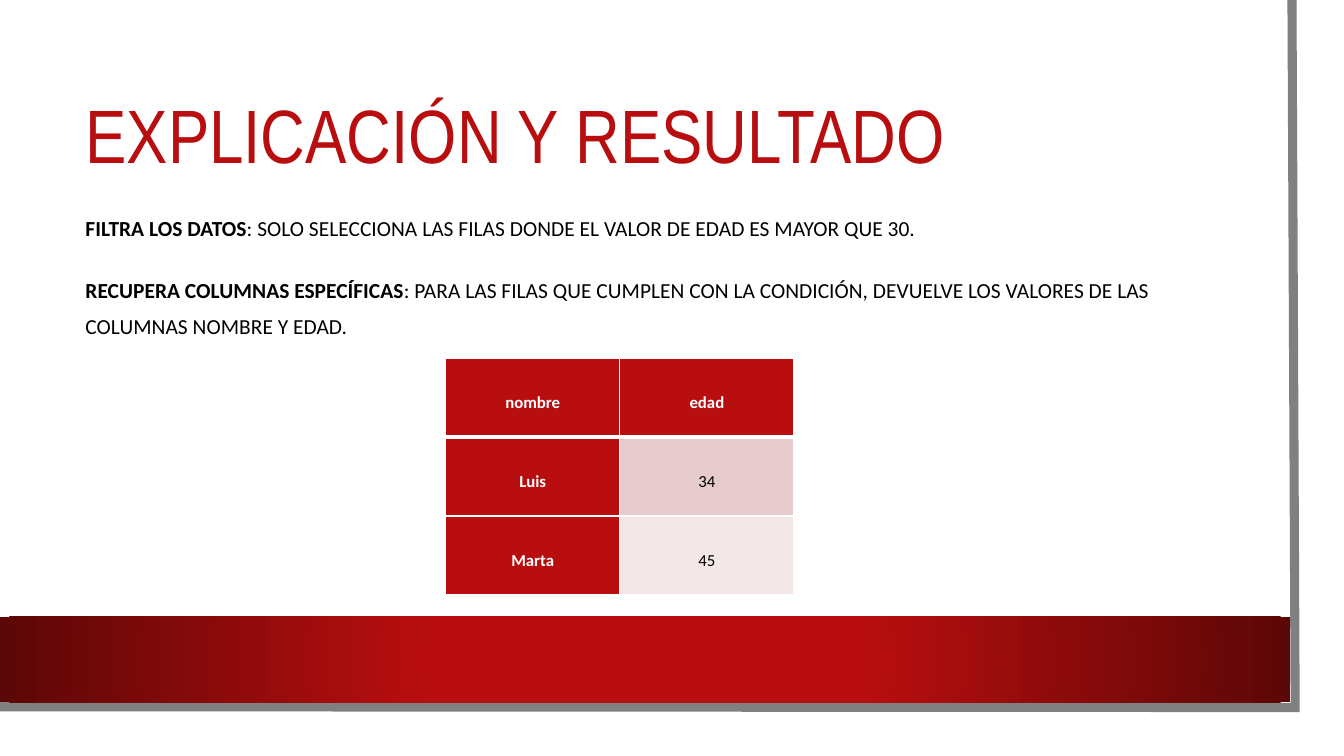
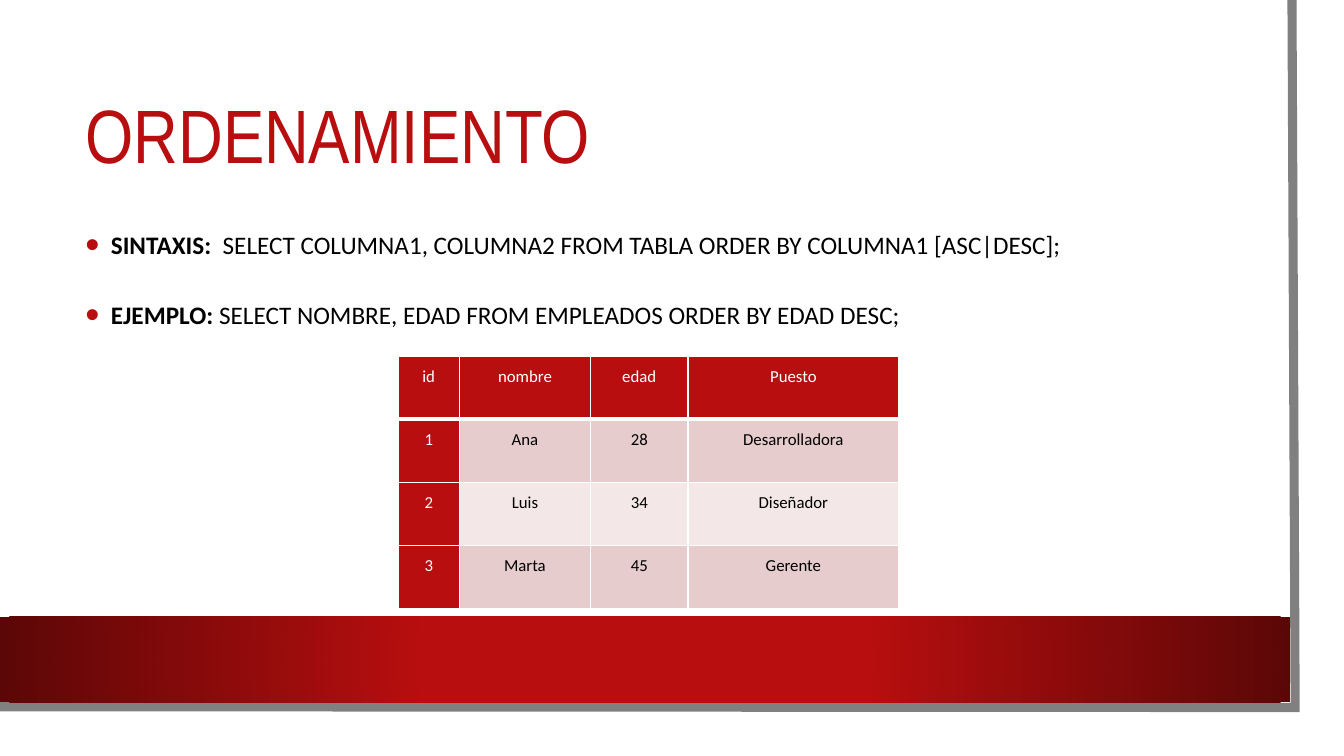
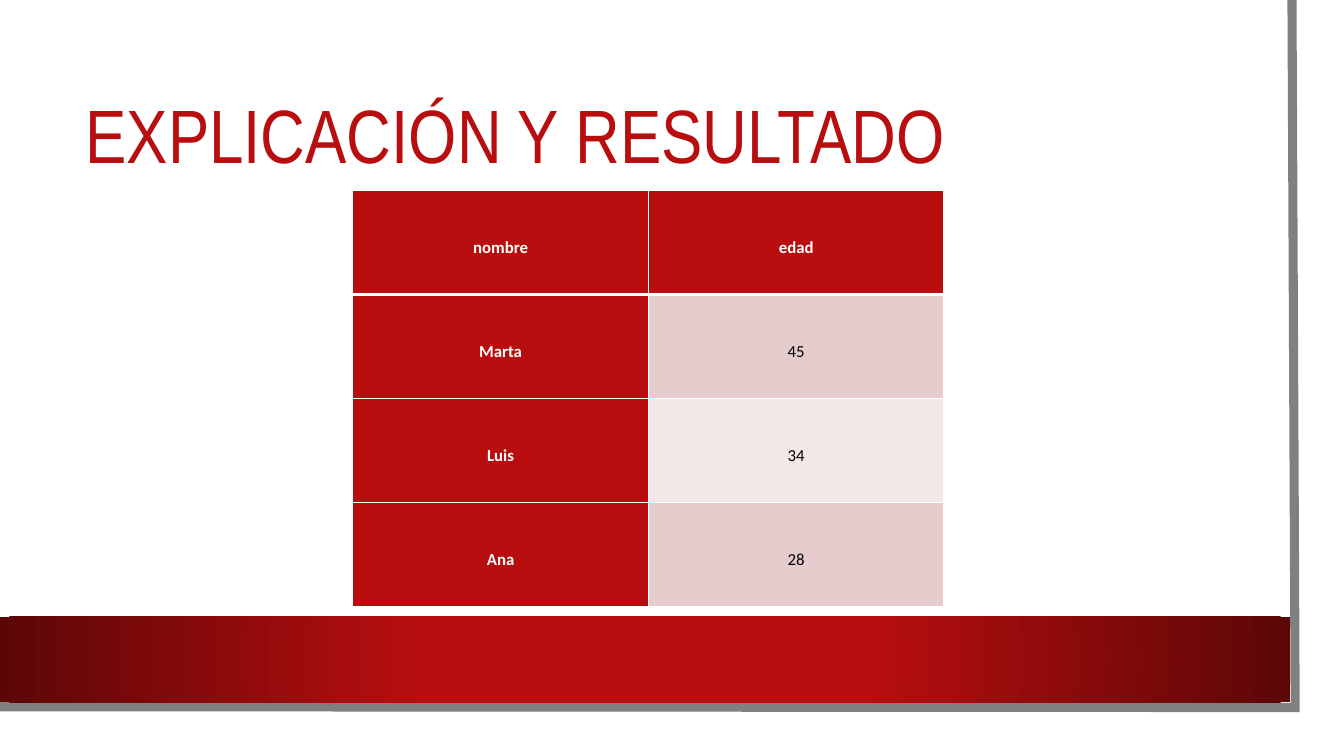
"""Builds three slides about SQL filtering and ordering, with their result tables."""
from lxml import etree
from pptx import Presentation
from pptx.dml.color import RGBColor
from pptx.enum.shapes import MSO_SHAPE
from pptx.enum.text import MSO_ANCHOR, MSO_AUTO_SIZE, PP_ALIGN
from pptx.oxml.ns import qn
from pptx.util import Cm, Pt

RECTANGLE = MSO_SHAPE.RECTANGLE
TOP, MIDDLE = MSO_ANCHOR.TOP, MSO_ANCHOR.MIDDLE
LEFT, CENTER = PP_ALIGN.LEFT, PP_ALIGN.CENTER
NO_AUTOFIT = MSO_AUTO_SIZE.NONE

RED = RGBColor(0xB8, 0x0E, 0x0F)
DARK_RED = RGBColor(0x5C, 0x07, 0x07)
GRAY = RGBColor(0x80, 0x80, 0x80)
WHITE = RGBColor(0xFF, 0xFF, 0xFF)
BLACK = RGBColor(0x00, 0x00, 0x00)
ROW_TINTS = (RGBColor(0xE6, 0xCC, 0xCC), RGBColor(0xF3, 0xE7, 0xE7))

TITLE_LAYOUT, BODY_LAYOUT = 5, 1
TITLE_BOX = (1.9, 1.9, 28.88, 3.2)
BODY_BOX = (1.9, 5.1, 28.88, 3.5)
PAGE_BOX = (0, 0, 33.27, 18.47)
BAND_BOX = (0, 15.54, 32.51, 2.16)
EDGE_POINTS = [(32.56, 0), (32.64, 17.83), (-0.08, 17.81)]
BAND_STOPS = [(0.34, RED), (1, DARK_RED)]

FRAME_FORMAT = {"word_wrap": True, "auto_size": NO_AUTOFIT, "vertical_anchor": MIDDLE}
TITLE_PARAGRAPH = {"alignment": LEFT, "line_spacing": 0.9}
TITLE_FONT = {"name": "Arial Narrow", "size": Pt(54), "bold": False}
BODY_PARAGRAPH = {"alignment": LEFT, "space_before": Pt(10), "space_after": Pt(8)}
CELL_PARAGRAPH = {"alignment": CENTER, "line_spacing": 1.5, "space_after": Pt(8)}

SLIDES = [
    {
        "title": "EXPLICACIÓN Y RESULTADO",
        "body": {
            "size": 15.3, "spacing": 1.4, "bullets": False,
            "items": [
                ("FILTRA LOS DATOS",
                 ": SOLO SELECCIONA LAS FILAS DONDE EL VALOR DE EDAD ES MAYOR QUE 30."),
                ("RECUPERA COLUMNAS ESPECÍFICAS",
                 ": PARA LAS FILAS QUE CUMPLEN CON LA CONDICIÓN, DEVUELVE LOS VALORES "
                 "DE LAS COLUMNAS NOMBRE Y EDAD."),
            ],
        },
        "table": {
            "corner": (11.23, 9.02), "widths": [4.39] * 2, "row_height": 1.99,
            "anchor": MIDDLE, "inset": 0.13, "bold_heads": True,
            "rows": [("nombre", "edad"), ("Luis", "34"), ("Marta", "45")],
        },
    },
    {
        "title": "ORDENAMIENTO",
        "body": {
            "size": 18, "spacing": 1.5, "bullets": True,
            "items": [
                ("SINTAXIS:",
                 "  SELECT COLUMNA1, COLUMNA2 FROM TABLA ORDER BY COLUMNA1 [ASC|DESC];"),
                ("EJEMPLO: ", "SELECT NOMBRE, EDAD FROM EMPLEADOS ORDER BY EDAD DESC;"),
            ],
        },
        "table": {
            "corner": (10.03, 8.97), "widths": [1.55, 3.3, 2.46, 5.31], "row_height": 1.59,
            "anchor": TOP, "inset": 0.18, "bold_heads": False,
            "rows": [
                ("id", "nombre", "edad", "Puesto"),
                ("1", "Ana", "28", "Desarrolladora"),
                ("2", "Luis", "34", "Diseñador"),
                ("3", "Marta", "45", "Gerente"),
            ],
        },
    },
    {
        "title": "EXPLICACIÓN Y RESULTADO",
        "table": {
            "corner": (8.89, 4.8), "widths": [7.45] * 2, "row_height": 2.62,
            "anchor": MIDDLE, "inset": 0.13, "bold_heads": True,
            "rows": [("nombre", "edad"), ("Marta", "45"), ("Luis", "34"), ("Ana", "28")],
        },
    },
]


def apply_format(target, values):
    for name, value in values.items():
        setattr(target, name, value)


def lengths(values):
    return [Cm(value) for value in values]


def add_run(paragraph, text, font_values, color):
    run = paragraph.add_run()
    run.text = text
    apply_format(run.font, font_values)
    run.font.color.rgb = color


def add_rectangle(shapes, box):
    rectangle = shapes.add_shape(RECTANGLE, *lengths(box))
    rectangle.shadow.inherit = False
    rectangle.line.fill.background()
    return rectangle


def add_page(shapes):
    page = add_rectangle(shapes, PAGE_BOX)
    page.fill.solid()
    page.fill.fore_color.rgb = WHITE
    return page


def add_edge(shapes):
    start, *others = [lengths(point) for point in EDGE_POINTS]
    builder = shapes.build_freeform(*start)
    builder.add_line_segments(others, close=False)
    edge = builder.convert_to_shape()
    edge.shadow.inherit = False
    edge.fill.background()
    edge.line.width = Pt(6.5)
    edge.line.color.rgb = GRAY
    outline = edge.element.spPr.find(qn("a:ln"))
    etree.SubElement(outline, qn("a:miter")).set("lim", "800000")
    return edge


def add_band(shapes):
    band = add_rectangle(shapes, BAND_BOX)
    band.fill.gradient()
    for stop, (position, color) in zip(band.fill.gradient_stops, BAND_STOPS):
        stop.position = position
        stop.color.rgb = color
    gradient = band.element.spPr.find(qn("a:gradFill"))
    gradient.remove(gradient.find(qn("a:lin")))
    radial = etree.SubElement(gradient, qn("a:path"))
    radial.set("path", "circle")
    center = etree.SubElement(radial, qn("a:fillToRect"))
    for side in "ltrb":
        center.set(side, "50000")
    return band


def decorate_master(master, shapes):
    tree = master.shapes.element
    for order, add_part in enumerate((add_page, add_edge, add_band)):
        part = add_part(shapes).element
        part.nvSpPr.cNvPr.set("id", str(20 + order))
        tree.insert(2 + order, part)


def place(placeholder, box):
    apply_format(placeholder, dict(zip(("left", "top", "width", "height"), lengths(box))))
    apply_format(placeholder.text_frame, FRAME_FORMAT)
    return placeholder.text_frame


def fill_title(slide, text):
    paragraph = place(slide.shapes.title, TITLE_BOX).paragraphs[0]
    apply_format(paragraph, TITLE_PARAGRAPH)
    add_run(paragraph, text, TITLE_FONT, RED)


def set_bullet(paragraph, shown):
    properties = paragraph._p.get_or_add_pPr()
    indent = Cm(0.64) if shown else 0
    properties.set("marL", str(indent))
    properties.set("indent", str(-indent))
    if not shown:
        etree.SubElement(properties, qn("a:buNone"))
        return
    color = etree.SubElement(properties, qn("a:buClr"))
    etree.SubElement(color, qn("a:srgbClr")).set("val", str(RED))
    etree.SubElement(properties, qn("a:buSzPct")).set("val", "160000")
    etree.SubElement(properties, qn("a:buFont")).set("typeface", "Arial")
    etree.SubElement(properties, qn("a:buChar")).set("char", "•")


def fill_body(slide, body):
    frame = place(slide.placeholders[1], BODY_BOX)
    for index, item in enumerate(body["items"]):
        paragraph = frame.add_paragraph() if index else frame.paragraphs[0]
        apply_format(paragraph, BODY_PARAGRAPH | {"line_spacing": body["spacing"]})
        set_bullet(paragraph, body["bullets"])
        for text, bold in zip(item, (True, False)):
            font = {"name": "Calibri", "size": Pt(body["size"]), "bold": bold}
            add_run(paragraph, text, font, BLACK)


def set_borders(cell, row):
    properties = cell._tc.get_or_add_tcPr()
    widths = {"L": 1, "R": 1, "T": 3 if row == 1 else 1, "B": 3 if row == 0 else 1}
    for side, width in widths.items():
        border = etree.SubElement(properties, qn(f"a:ln{side}"))
        border.set("w", str(Pt(width)))
        fill = etree.SubElement(border, qn("a:solidFill"))
        etree.SubElement(fill, qn("a:srgbClr")).set("val", str(WHITE))


def add_result(slide, result):
    rows, widths = result["rows"], lengths(result["widths"])
    height = Cm(result["row_height"])
    table = slide.shapes.add_table(
        len(rows), len(widths), *lengths(result["corner"]), sum(widths), height * len(rows)
    ).table
    table.first_col = True
    for column, width in zip(table.columns, widths):
        column.width = width
    inset = Cm(result["inset"])
    cell_format = {
        "margin_left": inset, "margin_right": inset, "margin_top": 0, "margin_bottom": 0,
        "vertical_anchor": result["anchor"],
    }
    for row, values in enumerate(rows):
        table.rows[row].height = height
        for column, value in enumerate(values):
            cell = table.cell(row, column)
            is_head = row == 0 or column == 0
            apply_format(cell, cell_format)
            set_borders(cell, row)
            cell.fill.solid()
            cell.fill.fore_color.rgb = RED if is_head else ROW_TINTS[(row - 1) % 2]
            paragraph = cell.text_frame.paragraphs[0]
            apply_format(paragraph, CELL_PARAGRAPH)
            font = {"name": "Calibri", "size": Pt(12), "bold": is_head and result["bold_heads"]}
            add_run(paragraph, value, font, WHITE if is_head else BLACK)


def main():
    deck = Presentation()
    deck.slide_width, deck.slide_height = Cm(33.87), Cm(19.05)
    for index, content in enumerate(SLIDES):
        layout = BODY_LAYOUT if "body" in content else TITLE_LAYOUT
        slide = deck.slides.add_slide(deck.slide_layouts[layout])
        if index == 0:
            decorate_master(deck.slide_master, slide.shapes)
        fill_title(slide, content["title"])
        if "body" in content:
            fill_body(slide, content["body"])
        add_result(slide, content["table"])
    deck.save("out.pptx")


if __name__ == "__main__":
    main()
